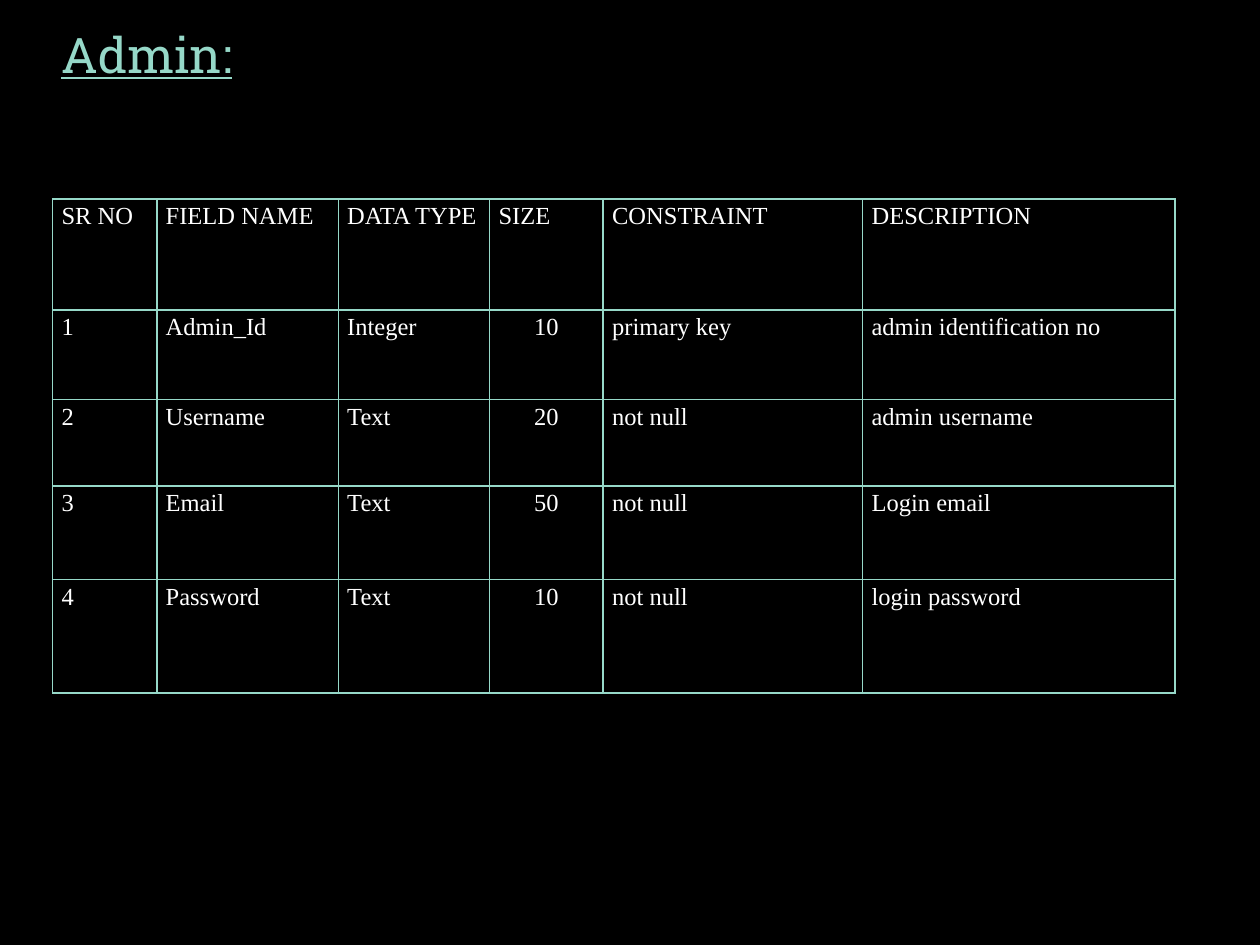
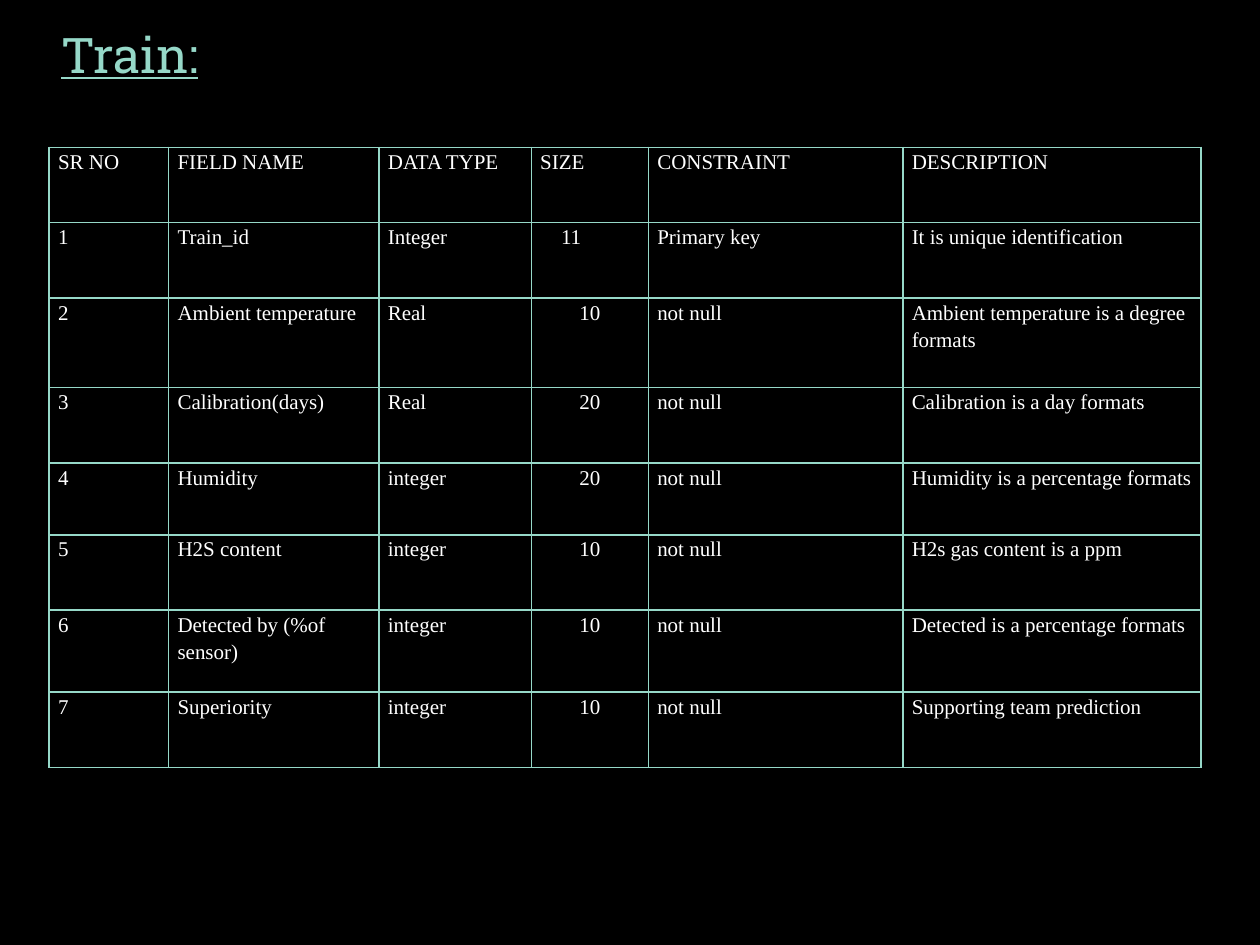
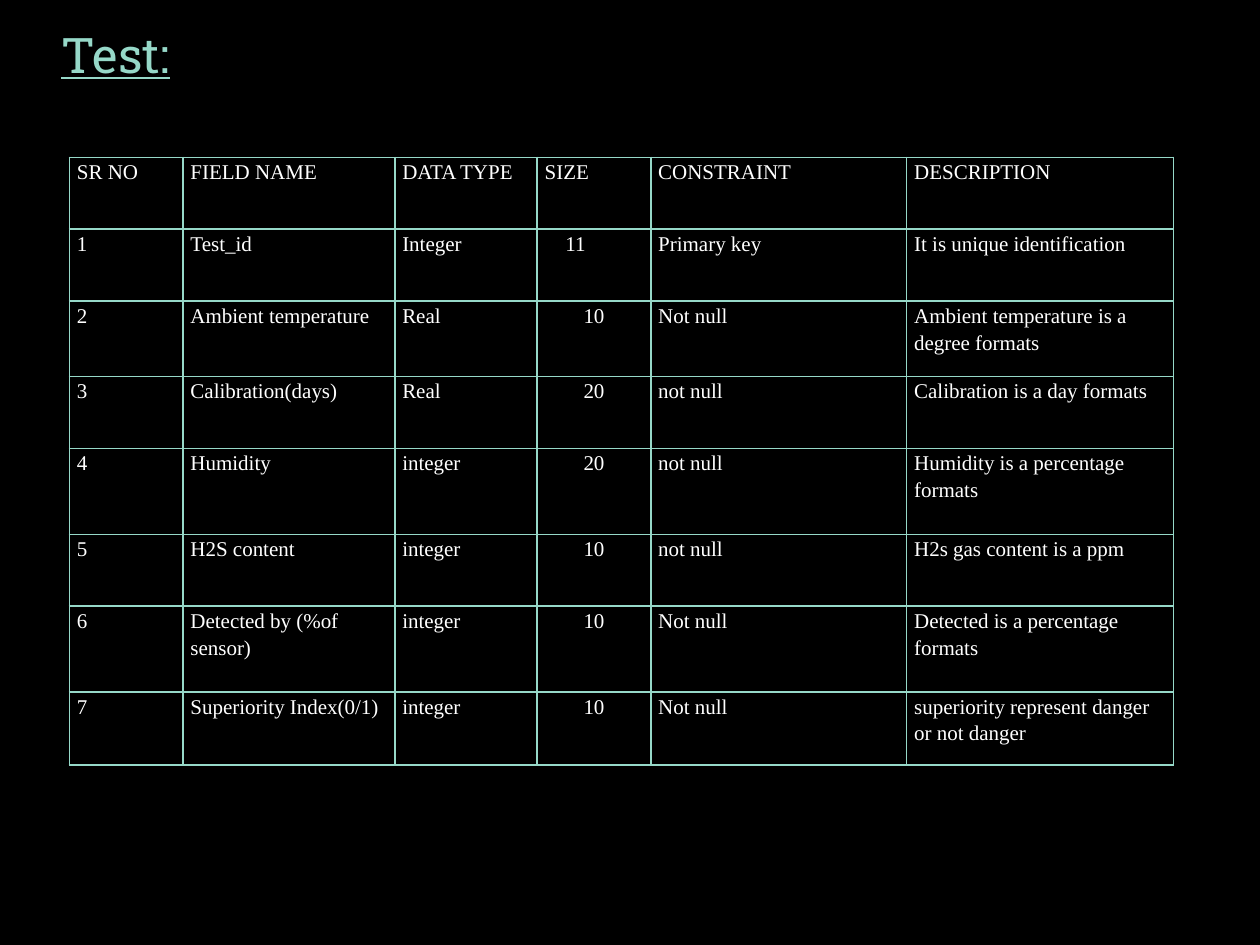
from dataclasses import dataclass
from typing import NamedTuple

import pptx
import pptx.dml.color
import pptx.enum.text
import pptx.oxml
import pptx.oxml.ns
import pptx.slide
import pptx.table
import pptx.text.text
import pptx.util
from pptx.util import Cm, Pt

BLACK = pptx.dml.color.RGBColor(0x00, 0x00, 0x00)
WHITE = pptx.dml.color.RGBColor(0xFF, 0xFF, 0xFF)
MINT = pptx.dml.color.RGBColor(0x96, 0xD8, 0xC8)

TITLE_FONT = "Roboto Slab"
TABLE_FONT = "Times New Roman"
ALIGN = pptx.enum.text.PP_ALIGN
HEADINGS = ("SR NO", "FIELD NAME", "DATA TYPE", "SIZE", "CONSTRAINT", "DESCRIPTION")
SIZE_COLUMN = HEADINGS.index("SIZE")
KEY_SIZE_INDENT = Cm(0.42)
BORDER_WIDTH = Pt(1)


class Field(NamedTuple):
    name: str
    data_type: str
    size: str
    constraint: str
    description: str


@dataclass(frozen=True)
class Schema:
    """One database table; all lengths are in centimetres."""

    title: str
    left: float
    top: float
    column_widths: tuple[float, ...]
    row_heights: tuple[float, ...]
    side_margin: float
    text_size: int
    key_size_centred: bool
    fields: tuple[Field, ...]


SCHEMAS = (
    Schema(
        "Admin:", 1.06, 4.01,
        (2.1, 3.66, 3.05, 2.29, 5.23, 6.3),
        (2.24, 1.8, 1.75, 1.88, 2.29),
        0.18, 14, True,
        (
            Field("Admin_Id", "Integer", "10", "primary key", "admin identification no"),
            Field("Username", "Text", "20", "not null", "admin username"),
            Field("Email", "Text", "50", "not null", "Login email"),
            Field("Password", "Text", "10", "not null", "login password"),
        ),
    ),
    Schema(
        "Train:", 0.99, 2.97,
        (2.41, 4.24, 3.07, 2.36, 5.13, 6.01),
        (1.52, 1.52, 1.8, 1.52, 1.45, 1.52, 1.65, 1.52),
        0.18, 12, False,
        (
            Field("Train_id", "Integer", "11", "Primary key", "It is unique identification"),
            Field("Ambient temperature", "Real", "10", "not null",
                  "Ambient temperature is a degree formats"),
            Field("Calibration(days)", "Real", "20", "not null", "Calibration is a day formats"),
            Field("Humidity", "integer", "20", "not null", "Humidity is a percentage formats"),
            Field("H2S content", "integer", "10", "not null", "H2s gas content is a ppm"),
            Field("Detected by (%of sensor)", "integer", "10", "not null",
                  "Detected is a percentage formats"),
            Field("Superiority", "integer", "10", "not null", "Supporting team prediction"),
        ),
    ),
    Schema(
        "Test:", 1.4, 3.17,
        (2.29, 4.27, 2.87, 2.29, 5.16, 5.38),
        (1.45, 1.45, 1.52, 1.45, 1.73, 1.45, 1.73, 1.47),
        0.15, 12, False,
        (
            Field("Test_id", "Integer", "11", "Primary key", "It is unique identification"),
            Field("Ambient temperature", "Real", "10", "Not null",
                  "Ambient temperature is a degree formats"),
            Field("Calibration(days)", "Real", "20", "not null", "Calibration is a day formats"),
            Field("Humidity", "integer", "20", "not null", "Humidity is a percentage formats"),
            Field("H2S content", "integer", "10", "not null", "H2s gas content is a ppm"),
            Field("Detected by (%of sensor)", "integer", "10", "Not null",
                  "Detected is a percentage formats"),
            Field("Superiority Index(0/1)", "integer", "10", "Not null",
                  "superiority represent danger or not danger"),
        ),
    ),
)


def style_font(paragraph: pptx.text.text._Paragraph, name: str, size: int,
               colour: pptx.dml.color.RGBColor) -> None:
    paragraph.font.name = name
    paragraph.font.size = Pt(size)
    paragraph.font.color.rgb = colour


def add_title(slide: pptx.slide.Slide, title: str) -> None:
    heading = slide.shapes.add_textbox(Cm(0.99), Cm(0.36), Cm(13.28), Cm(1.45)).text_frame
    heading.word_wrap = True
    heading.auto_size = pptx.enum.text.MSO_AUTO_SIZE.SHAPE_TO_FIT_TEXT
    paragraph = heading.paragraphs[0]
    paragraph.text = title
    paragraph.alignment = ALIGN.JUSTIFY
    style_font(paragraph, TITLE_FONT, 28, MINT)
    paragraph.font.underline = True


def add_borders(cell: pptx.table._Cell) -> None:
    """Outline all four sides; call before setting the fill, which must follow in the XML."""
    properties = cell._tc.get_or_add_tcPr()
    for side in ("lnL", "lnR", "lnT", "lnB"):
        properties.append(pptx.oxml.parse_xml(
            f'<a:{side} {pptx.oxml.ns.nsdecls("a")} w="{BORDER_WIDTH}">'
            f'<a:solidFill><a:srgbClr val="{MINT}"/></a:solidFill></a:{side}>'
        ))


def fill_cell(cell: pptx.table._Cell, text: str, schema: Schema) -> pptx.text.text._Paragraph:
    add_borders(cell)
    cell.fill.background()
    cell.margin_left = cell.margin_right = Cm(schema.side_margin)
    cell.margin_top = cell.margin_bottom = 0
    paragraph = cell.text_frame.paragraphs[0]
    paragraph.text = text
    paragraph.line_spacing = 1.15
    style_font(paragraph, TABLE_FONT, schema.text_size, WHITE)
    return paragraph


def add_schema_table(slide: pptx.slide.Slide, schema: Schema) -> None:
    rows = [HEADINGS] + [(str(number), *field) for number, field in enumerate(schema.fields, 1)]
    table = slide.shapes.add_table(
        len(rows), len(HEADINGS), Cm(schema.left), Cm(schema.top),
        Cm(sum(schema.column_widths)), Cm(sum(schema.row_heights)),
    ).table
    table.first_row = table.horz_banding = False
    for column, width in zip(table.columns, schema.column_widths):
        column.width = Cm(width)
    for row, height in zip(table.rows, schema.row_heights):
        row.height = Cm(height)

    for row_index, texts in enumerate(rows):
        for column_index, text in enumerate(texts):
            paragraph = fill_cell(table.cell(row_index, column_index), text, schema)
            if row_index == 0 or column_index != SIZE_COLUMN:
                continue
            if row_index > 1 or schema.key_size_centred:
                paragraph.alignment = ALIGN.CENTER
            else:
                paragraph._p.get_or_add_pPr().set("marL", str(KEY_SIZE_INDENT))


def main() -> None:
    deck = pptx.Presentation()
    deck.slide_width, deck.slide_height = Cm(25.4), Cm(19.05)
    background = deck.slide_master.background.fill
    background.solid()
    background.fore_color.rgb = BLACK
    blank_layout = deck.slide_layouts[6]
    for schema in SCHEMAS:
        slide = deck.slides.add_slide(blank_layout)
        add_title(slide, schema.title)
        add_schema_table(slide, schema)
    deck.save("out.pptx")


if __name__ == "__main__":
    main()
